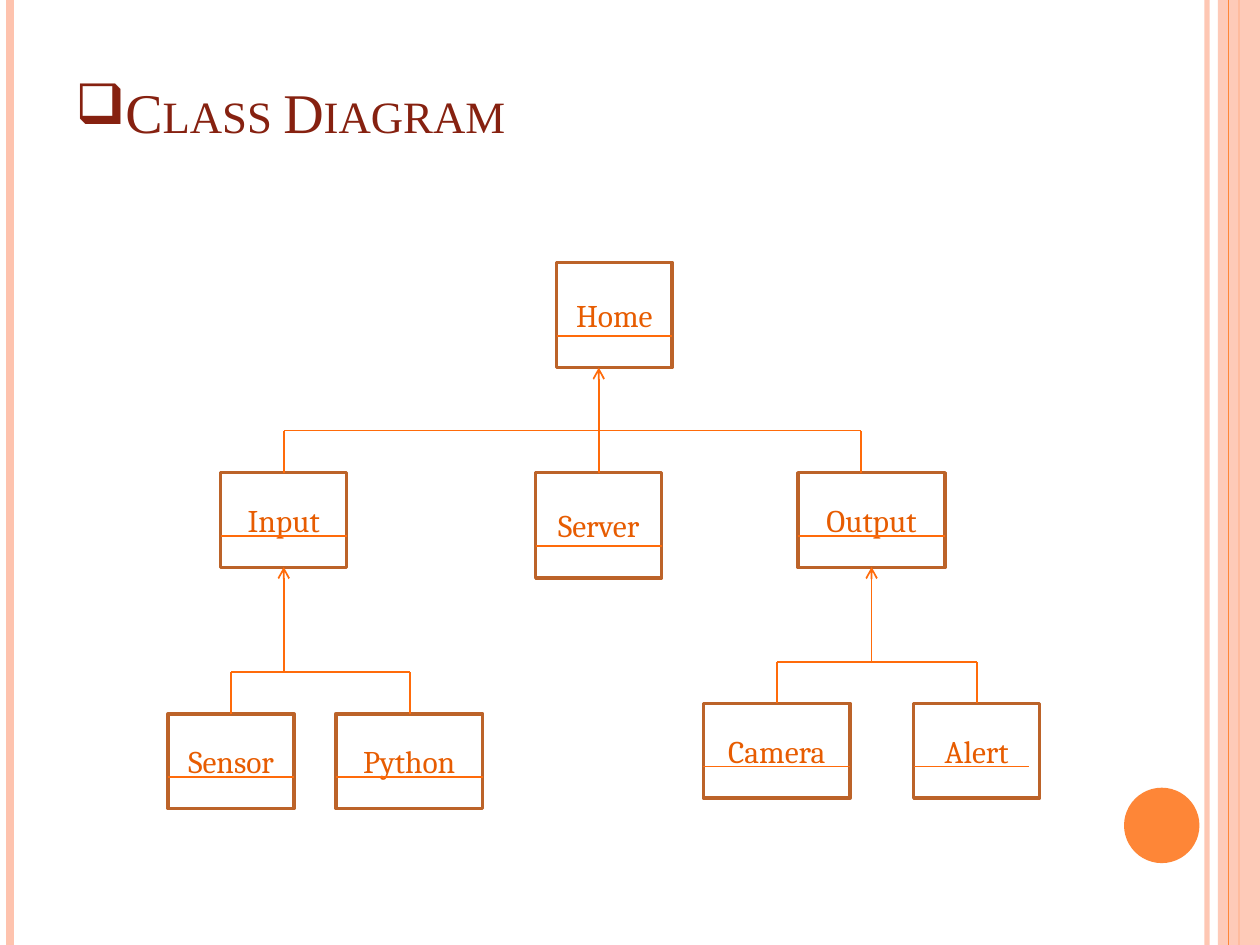
from dataclasses import dataclass

from lxml.etree import SubElement
from pptx import Presentation
from pptx.dml.color import RGBColor
from pptx.enum.shapes import MSO_CONNECTOR, MSO_SHAPE
from pptx.enum.text import MSO_ANCHOR, PP_ALIGN
from pptx.oxml.ns import qn
from pptx.util import Cm, Pt

PINK, ORANGE, LINK = "FEC3AE", "FE8637", "FF6B0A"
BORDER, LABEL, TITLE = "BC6329", "E75C01", "862110"
PAGE_WIDTH, PAGE_HEIGHT = 25.4, 19.05
COMPARTMENT = 0.64  # height of the lower part of a class box


@dataclass
class Rule:
    x: float
    color: str
    weight: float
    opacity: int = 100


@dataclass
class ClassBox:
    name: str
    left: float
    top: float
    width: float
    height: float = 1.91
    divider: float = 0  # divider length; 0 means the full width


@dataclass
class Branch:
    parent_x: float
    parent_bottom: float
    bar_y: float
    child_top: float
    child_xs: tuple[float, ...]
    arrow_start: float


RULES = [
    Rule(24.33, PINK, 3, 93),
    Rule(0.21, PINK, 4.5),
    Rule(24.98, ORANGE, 1.5),
]
CLASS_BOXES = [
    ClassBox("Home", 11.22, 5.29, 2.33, 2.12),
    ClassBox("Input", 4.45, 9.53, 2.54),
    ClassBox("Server", 10.8, 9.53, 2.54, 2.12),
    ClassBox("Output", 16.09, 9.53, 2.96),
    ClassBox("Sensor", 3.39, 14.39, 2.54),
    ClassBox("Python", 6.77, 14.39, 2.96),
    ClassBox("Camera", 14.18, 14.18, 2.96),
    ClassBox("Alert", 18.42, 14.18, 2.54, divider=2.33),
]
BRANCHES = [
    Branch(12.07, 7.41, 8.68, 9.53, (5.72, 17.36), 9.53),
    Branch(5.72, 11.43, 13.55, 14.39, (4.66, 8.26), 13.55),
    Branch(17.57, 11.43, 13.34, 14.18, (15.66, 19.69), 13.34),
]


def rgb(color: str) -> RGBColor:
    return RGBColor.from_string(color)


def set_opacity(fill, percent: int) -> None:
    color = fill._xPr.find(qn("a:solidFill"))[0]
    SubElement(color, qn("a:alpha"), val=str(percent * 1000))


def add_line(page, x1: float, y1: float, x2: float, y2: float, color: str = LINK,
             weight: float = 1, opacity: int = 100, arrow: bool = False) -> None:
    connector = page.shapes.add_connector(
        MSO_CONNECTOR.STRAIGHT, Cm(x1), Cm(y1), Cm(x2), Cm(y2))
    connector.line.color.rgb = rgb(color)
    connector.line.width = Pt(weight)
    if opacity < 100:
        set_opacity(connector.line.fill, opacity)
    if arrow:
        SubElement(connector.line._get_or_add_ln(), qn("a:tailEnd"), type="arrow")
    SubElement(connector._element.spPr, qn("a:effectLst"))


def add_block(page, kind, left: float, top: float, width: float, height: float,
              fill: str = "", line: str = "", opacity: int = 100):
    block = page.shapes.add_shape(kind, Cm(left), Cm(top), Cm(width), Cm(height))
    block.shadow.inherit = False
    if fill:
        block.fill.solid()
        block.fill.fore_color.rgb = rgb(fill)
        if opacity < 100:
            set_opacity(block.fill, opacity)
    else:
        block.fill.background()
    if line:
        block.line.color.rgb = rgb(line)
        block.line.width = Pt(2)
    else:
        block.line.fill.background()
    return block


def write(box, text: str, *, font: str, size: float, color: str, align=PP_ALIGN.LEFT,
          anchor=MSO_ANCHOR.MIDDLE, bullet: str = "", small_caps: bool = False) -> None:
    frame = box.text_frame
    frame.word_wrap = True
    frame.vertical_anchor = anchor
    para = frame.paragraphs[0]
    para.alignment = align
    span = para.add_run()
    span.text = text
    span.font.name = font
    span.font.size = Pt(size)
    span.font.color.rgb = rgb(color)
    if small_caps:
        span.font._element.set("cap", "small")
    if bullet:
        SubElement(para._p.get_or_add_pPr(), qn("a:buChar"), char=bullet)


def draw_class_box(page, item: ClassBox) -> None:
    box = add_block(page, MSO_SHAPE.RECTANGLE, item.left, item.top,
                    item.width, item.height, line=BORDER)
    write(box, item.name, font="Cambria", size=18, color=LABEL, align=PP_ALIGN.CENTER)
    y = item.top + item.height - COMPARTMENT
    add_line(page, item.left, y, item.left + (item.divider or item.width), y)


def draw_branch(page, branch: Branch) -> None:
    for x in branch.child_xs:
        add_line(page, x, branch.child_top, x, branch.bar_y)
    add_line(page, branch.child_xs[0], branch.bar_y, branch.child_xs[-1], branch.bar_y)
    add_line(page, branch.parent_x, branch.arrow_start,
             branch.parent_x, branch.parent_bottom, arrow=True)


deck = Presentation()
deck.slide_width, deck.slide_height = Cm(PAGE_WIDTH), Cm(PAGE_HEIGHT)
page = deck.slides.add_slide(deck.slide_layouts[6])

# Side decoration
for rule in RULES:
    add_line(page, rule.x, 0, rule.x, PAGE_HEIGHT, rule.color, rule.weight, rule.opacity)
add_block(page, MSO_SHAPE.RECTANGLE, 24.55, 0, 0.85, PAGE_HEIGHT, fill=PINK, opacity=87)
add_line(page, 24.77, 0, 24.77, PAGE_HEIGHT, ORANGE, 0.75)
add_block(page, MSO_SHAPE.OVAL, 22.66, 15.88, 1.52, 1.52, fill=ORANGE)

# Title
title = page.shapes.add_textbox(Cm(1.27), Cm(1.27), Cm(20.75), Cm(1.78))
write(title, "Class Diagram", font="Times New Roman", size=32, color=TITLE,
      anchor=MSO_ANCHOR.BOTTOM, bullet="❑", small_caps=True)

# Class diagram
for item in CLASS_BOXES:
    draw_class_box(page, item)
for branch in BRANCHES:
    draw_branch(page, branch)

deck.save("out.pptx")
